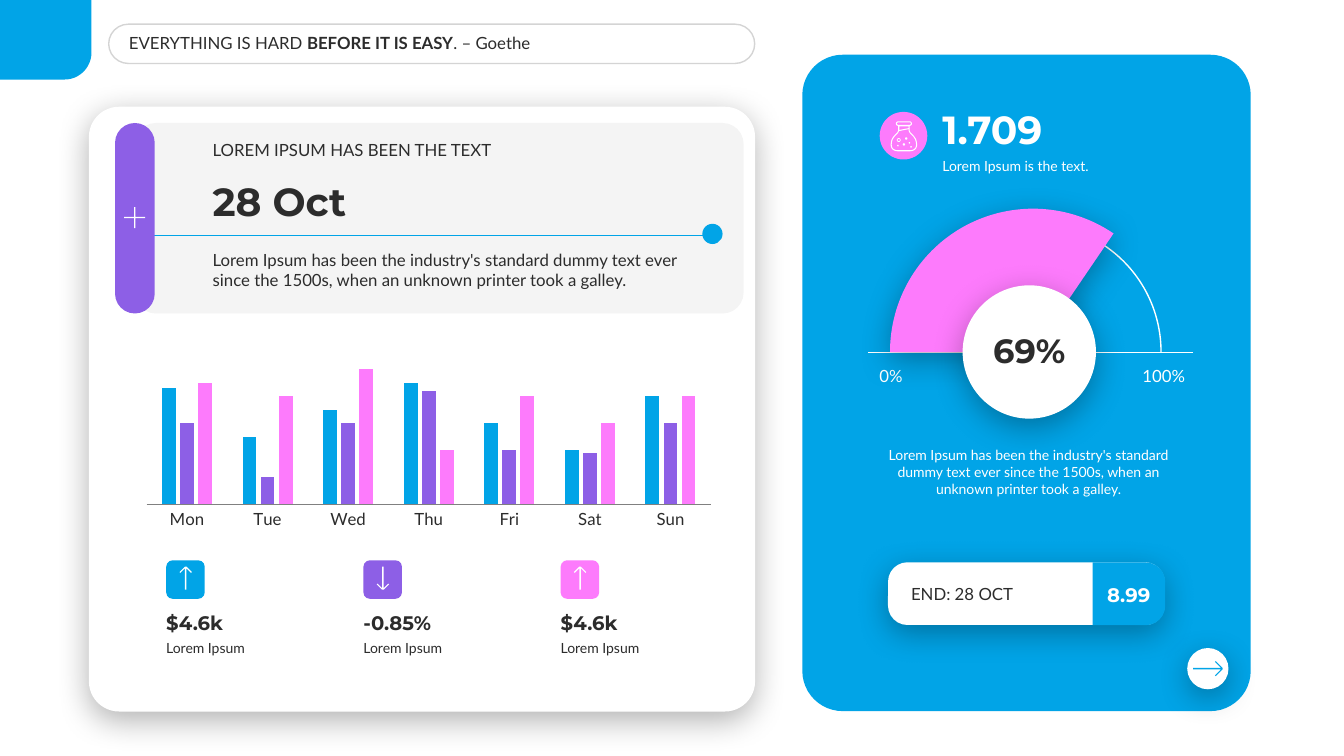
"""Build a dashboard slide with an activity card and a progress panel."""
from dataclasses import dataclass
from math import cos, radians, sin

from lxml import etree
from pptx import Presentation
from pptx import util as u
from pptx.chart.data import CategoryChartData
from pptx.dml.color import RGBColor
from pptx.enum import chart as charts
from pptx.enum import shapes, text
from pptx.oxml import ns

BLUE = RGBColor(0x01, 0xA4, 0xE7)
PURPLE = RGBColor(0x8D, 0x5F, 0xE6)
PINK = RGBColor(0xFD, 0x7B, 0xFC)
DARK = RGBColor(0x2C, 0x2C, 0x2C)
GRAY = RGBColor(0x80, 0x80, 0x80)
WHITE = RGBColor(0xFF, 0xFF, 0xFF)
BODY, HEAD = "Lato", "Montserrat"
KIND = shapes.MSO_SHAPE
MIDDLE, BOTTOM = text.MSO_ANCHOR.MIDDLE, text.MSO_ANCHOR.BOTTOM
CENTER = text.PP_ALIGN.CENTER


@dataclass(frozen=True)
class Box:
    """Hold a place and size in centimetres."""
    x: float
    y: float
    w: float
    h: float

    def emu(self) -> list[int]:
        """Return the four lengths for a shape call."""
        return [u.Cm(v) for v in (self.x, self.y, self.w, self.h)]


@dataclass(frozen=True)
class Stat:
    """Hold one figure under the chart."""
    value: str
    color: RGBColor
    turn: int


@dataclass(frozen=True)
class Series:
    """Hold one set of columns."""
    name: str
    color: RGBColor
    values: tuple[int, ...]


DAYS = ("Mon", "Tue", "Wed", "Thu", "Fri", "Sat", "Sun")
SERIES = (
    Series("Series 1", BLUE, (86, 50, 70, 90, 60, 40, 80)),
    Series("Series 2", PURPLE, (60, 20, 60, 84, 40, 38, 60)),
    Series("Series 3", PINK, (90, 80, 100, 40, 80, 60, 80)),
)
STATS = (Stat("$4.6k", BLUE, -90), Stat("-0.85%", PURPLE, 90), Stat("$4.6k", PINK, -90))


def fade(part, share: int) -> None:
    """Set the opacity, in percent, of each colour in an element."""
    for color in part.iter(ns.qn("a:srgbClr")):
        etree.SubElement(color, ns.qn("a:alpha"), val=str(share * 1000))


def style(item, fill=None, line=None, width: float = 1) -> None:
    """Set fill and line and drop the theme shadow."""
    item.shadow.inherit = False
    if fill is None:
        item.fill.background()
    else:
        item.fill.solid()
        item.fill.fore_color.rgb = fill
    if line is None:
        item.line.fill.background()
    else:
        item.line.color.rgb = line
        item.line.width = u.Pt(width)


def draw(slide, kind, box: Box, fill=None, line=None, width: float = 1,
         adjust: tuple = (), turn: int = 0, shadow: bool = False):
    """Add a preset shape."""
    item = slide.shapes.add_shape(kind, *box.emu())
    item.rotation = turn
    for i, value in enumerate(adjust):
        item.adjustments[i] = value
    style(item, fill, line, width)
    if shadow:
        effects = item._element.spPr.find(ns.qn("a:effectLst"))
        outer = etree.SubElement(
            effects, ns.qn("a:outerShdw"), blurRad=str(u.Pt(23)), dist=str(u.Pt(6)),
            dir="5400000", algn="t", rotWithShape="0")
        etree.SubElement(outer, ns.qn("a:srgbClr"), val="000000")
        fade(outer, 30)
    return item


def rule(slide, start: tuple, end: tuple, color: RGBColor, width: float) -> None:
    """Add a straight line."""
    item = slide.shapes.add_connector(
        shapes.MSO_CONNECTOR.STRAIGHT, *[u.Cm(v) for v in (*start, *end)])
    item.line.color.rgb = color
    item.line.width = u.Pt(width)
    etree.SubElement(item._element.spPr, ns.qn("a:effectLst"))


def trace(slide, points: list[tuple], fill=None, line=None, width: float = 1) -> None:
    """Add a closed outline."""
    spots = [(u.Cm(x), u.Cm(y)) for x, y in points]
    path = slide.shapes.build_freeform(*spots[0])
    path.add_line_segments(spots[1:], close=True)
    style(path.convert_to_shape(), fill, line, width)


def write(slide, box: Box, copy: str, *, size: float = 12, font: str = BODY,
          color: RGBColor = DARK, bold: bool = False, align=text.PP_ALIGN.LEFT,
          anchor=text.MSO_ANCHOR.TOP, inset: float = 0.25) -> None:
    """Add text; each bar in the copy toggles bold."""
    frame = slide.shapes.add_textbox(*box.emu()).text_frame
    frame.word_wrap = True
    frame.vertical_anchor = anchor
    frame.margin_left = frame.margin_right = u.Cm(inset)
    para = frame.paragraphs[0]
    para.alignment = align
    for i, part in enumerate(copy.split("|")):
        run = para.add_run()
        run.text = part
        run.font.size, run.font.name = u.Pt(size), font
        run.font.bold = bold != bool(i % 2)
        run.font.color.rgb = color


def arrow(slide, x: float, y: float, size: float, wide: float,
          color: RGBColor, turn: int = 0) -> None:
    """Add a thin arrow centred on a point."""
    tip, half, pen = size / 2, wide / 2, 0.02
    upper = [(-tip, -pen), (tip - 2 * pen, -pen), (tip - half, pen - half),
             (tip - half + pen, -half), (tip, -pen)]
    lower = [(a, -b) for a, b in reversed(upper)]
    c, s = cos(radians(turn)), sin(radians(turn))
    trace(slide, [(x + a * c - b * s, y + a * s + b * c) for a, b in upper + lower], color)


def curve(a: tuple, b: tuple, c: tuple, d: tuple) -> list[tuple]:
    """Return points along a cubic curve."""
    steps = [i / 12 for i in range(13)]
    return [tuple((1 - t) ** 3 * p + 3 * t * (1 - t) ** 2 * q
                  + 3 * t * t * (1 - t) * r + t ** 3 * s
                  for p, q, r, s in zip(a, b, c, d)) for t in steps]


def flask(slide, x: float, y: float) -> None:
    """Add the flask icon with its top centre at a point."""
    side = [(0.13, 0.1)]
    side += curve((0.13, 0.2), (0.13, 0.32), (0.32, 0.34), (0.32, 0.58))
    side += curve((0.32, 0.58), (0.32, 0.73), (0.16, 0.73), (0.16, 0.73))
    full = side + [(-a, b) for a, b in reversed(side)]
    trace(slide, [(x + a, y + b) for a, b in full], line=WHITE, width=0.75)
    draw(slide, KIND.ROUNDED_RECTANGLE, Box(x - 0.19, y, 0.38, 0.09), PINK, WHITE, 0.75, (0.5,))
    rule(slide, (x - 0.13, y + 0.22), (x + 0.13, y + 0.17), WHITE, 0.75)
    draw(slide, KIND.OVAL, Box(x - 0.17, y + 0.42, 0.08, 0.08), line=WHITE, width=0.5)
    for a, b, d in ((0.03, 0.39, 0.06), (-0.03, 0.54, 0.06), (0.12, 0.51, 0.04),
                    (-0.17, 0.58, 0.04), (0.16, 0.61, 0.04)):
        draw(slide, KIND.OVAL, Box(x + a, y + b, d, d), WHITE)


def plot(slide, box: Box) -> None:
    """Add the weekly column chart."""
    data = CategoryChartData()
    data.categories = DAYS
    for row in SERIES:
        data.add_series(row.name, row.values)
    chart = slide.shapes.add_chart(
        charts.XL_CHART_TYPE.COLUMN_CLUSTERED, *box.emu(), data).chart
    chart.has_legend = chart.has_title = False
    chart.font.name, chart.font.size = BODY, u.Pt(12)
    chart.font.color.rgb = DARK
    axis, scale = chart.category_axis, chart.value_axis
    axis.major_tick_mark = charts.XL_TICK_MARK.NONE
    axis.format.line.color.rgb = GRAY
    axis.format.line.width = u.Pt(0.75)
    scale.visible = scale.has_major_gridlines = False
    scale.minimum_scale, scale.maximum_scale = 0, 120
    bars = chart.plots[0]
    bars.gap_width, bars.overlap, bars.vary_by_categories = 220, -30, False
    for bar, row in zip(bars.series, SERIES):
        bar.format.fill.solid()
        bar.format.fill.fore_color.rgb = row.color


def card(slide) -> None:
    """Draw the heading and the activity card."""
    rounded = KIND.ROUNDED_RECTANGLE
    draw(slide, rounded, Box(2.24, 2.69, 16.79, 15.24), WHITE, adjust=(0.05,), shadow=True)
    pill = draw(slide, rounded, Box(2.74, 0.61, 16.28, 0.99), line=DARK, adjust=(0.5,))
    fade(pill._element.spPr.ln, 20)
    write(slide, Box(3.15, 0.71, 15.44, 0.76),
          "EVERYTHING IS HARD |BEFORE IT IS EASY|. – Goethe", anchor=MIDDLE, inset=0.1)
    draw(slide, KIND.ROUND_1_RECTANGLE, Box(0.15, -0.15, 2, 2.31), BLUE, adjust=(0.34,), turn=90)
    band = draw(slide, rounded, Box(3.4, 3.1, 15.34, 4.8), DARK, adjust=(0.11,))
    fade(band._element.spPr, 5)
    write(slide, Box(5.11, 3.4, 12.95, 0.76), "LOREM IPSUM HAS BEEN THE TEXT", anchor=BOTTOM)
    write(slide, Box(5.11, 4.34, 12.95, 1.45), "28 Oct", size=28, font=HEAD, bold=True,
          anchor=BOTTOM)
    write(slide, Box(5.11, 6.17, 12.95, 1.27), "Lorem Ipsum has been the industry's standard "
          "dummy text ever since the 1500s, when an unknown printer took a galley.")
    rule(slide, (3.66, 5.92), (17.8, 5.92), BLUE, 0.5)
    draw(slide, KIND.OVAL, Box(17.7, 5.64, 0.51, 0.51), BLUE)
    draw(slide, rounded, Box(2.9, 3.1, 1, 4.8), PURPLE, adjust=(0.5,))
    draw(slide, KIND.CROSS, Box(3.13, 5.22, 0.53, 0.53), WHITE, adjust=(0.47,))
    plot(slide, Box(3.4, 8.53, 14.81, 4.88))
    for i, stat in enumerate(STATS):
        x = 4.19 + 4.97 * i
        draw(slide, rounded, Box(x, 14.12, 0.97, 0.97), stat.color)
        arrow(slide, x + 0.49, 14.57, 0.58, 0.31, WHITE, stat.turn)
        write(slide, Box(x, 15.24, 3.58, 0.86), stat.value, size=14, font=HEAD, bold=True,
              anchor=BOTTOM, inset=0)
        write(slide, Box(x, 16, 3.58, 0.69), "Lorem Ipsum", size=10, inset=0)


def panel(slide) -> None:
    """Draw the blue progress panel."""
    rounded = KIND.ROUNDED_RECTANGLE
    draw(slide, rounded, Box(20.22, 1.38, 11.3, 16.54), BLUE, adjust=(0.09,))
    write(slide, Box(23.5, 3.84, 6.93, 0.69), "Lorem Ipsum is the text.", size=10, color=WHITE)
    write(slide, Box(23.5, 2.51, 6.93, 1.45), "1.709", size=28, font=HEAD, color=WHITE,
          bold=True, anchor=BOTTOM)
    draw(slide, KIND.OVAL, Box(22.17, 2.82, 1.2, 1.2), PINK)
    flask(slide, 22.78, 3.07)
    draw(slide, KIND.ARC, Box(22.81, 5.64, 6.45, 6.45), line=WHITE, adjust=(107.89, 0))
    rule(slide, (21.87, 8.88), (30.07, 8.88), WHITE, 1)
    for x, w, mark in ((22.05, 0.81, "0%"), (28.58, 1.5, "100%")):
        write(slide, Box(x, 9.12, w, 0.71), mark, color=WHITE, align=CENTER,
              anchor=MIDDLE, inset=0)
    draw(slide, KIND.ARC, Box(22.43, 5.26, 7.21, 7.21), PINK, adjust=(107.89, 182.54), shadow=True)
    write(slide, Box(21.69, 11.13, 8.46, 1.55), "Lorem Ipsum has been the industry's standard "
          "dummy text ever since the 1500s, when an unknown printer took a galley.",
          size=10, color=WHITE, align=CENTER)
    draw(slide, KIND.OVAL, Box(24.26, 7.19, 3.36, 3.36), WHITE, shadow=True)
    write(slide, Box(24.05, 8.18, 3.78, 1.27), "69%", size=24, font=HEAD, bold=True,
          align=CENTER, anchor=MIDDLE)
    draw(slide, KIND.OVAL, Box(29.92, 16.33, 1.04, 1.04), WHITE, shadow=True)
    arrow(slide, 30.44, 16.85, 0.74, 0.38, BLUE)
    draw(slide, rounded, Box(22.38, 14.17, 6.97, 1.58), WHITE, adjust=(0.31,), shadow=True)
    write(slide, Box(22.71, 14.58, 4.98, 0.76), "END: 28 OCT", anchor=MIDDLE)
    draw(slide, KIND.ROUND_2_SAME_RECTANGLE, Box(27.66, 14.05, 1.58, 1.83), BLUE,
         adjust=(0.31, 0), turn=90)
    write(slide, Box(27.53, 14.55, 1.83, 0.86), "8.99", size=14, font=HEAD, color=WHITE,
          bold=True, align=CENTER, anchor=MIDDLE, inset=0.1)


def main() -> None:
    """Build and save the slide."""
    deck = Presentation()
    deck.slide_width, deck.slide_height = u.Cm(33.87), u.Cm(19.05)
    slide = deck.slides.add_slide(deck.slide_layouts[6])
    card(slide)
    panel(slide)
    deck.save("out.pptx")


if __name__ == "__main__":
    main()
